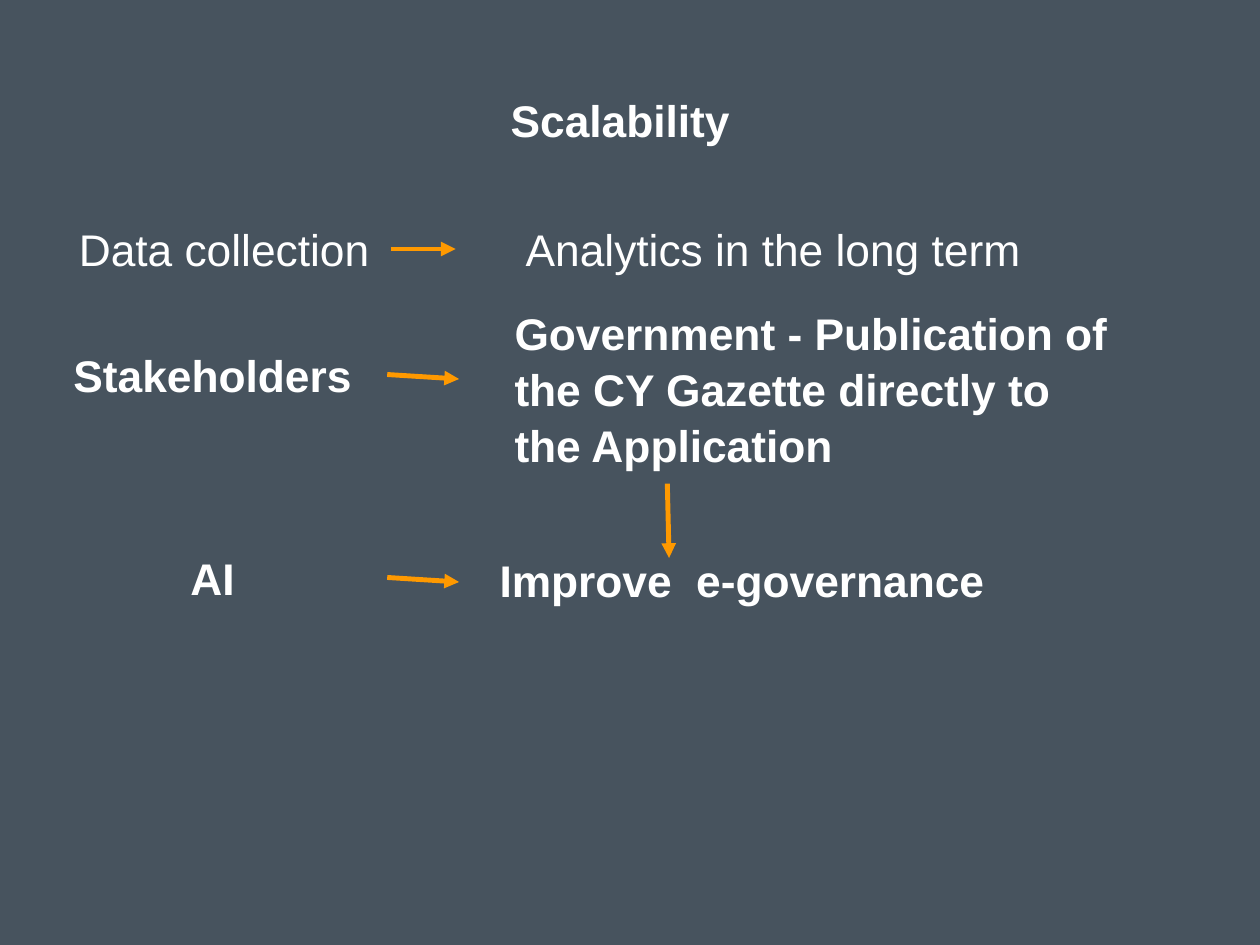
from dataclasses import dataclass

import pptx
import pptx.dml.color
import pptx.enum.shapes
import pptx.enum.text
import pptx.oxml.ns
import pptx.util
from lxml import etree

Cm = pptx.util.Cm
Pt = pptx.util.Pt
RGBColor = pptx.dml.color.RGBColor
ALIGN = pptx.enum.text.PP_ALIGN
ANCHOR = pptx.enum.text.MSO_ANCHOR
qn = pptx.oxml.ns.qn

SLATE = RGBColor(0x47, 0x53, 0x5E)
WHITE = RGBColor(0xFF, 0xFF, 0xFF)
ORANGE = RGBColor(0xFF, 0x99, 0x00)

FONT_FORMAT = {"name": "Arial", "size": Pt(36)}


@dataclass
class Label:
    text: str
    left: float
    top: float
    width: float
    height: float
    bold: bool = True
    align: ALIGN = ALIGN.LEFT
    anchor: ANCHOR = ANCHOR.MIDDLE
    inset: float = 0.15
    spacing: float = 1.0


@dataclass
class Arrow:
    x1: float
    y1: float
    x2: float
    y2: float


# Positions in centimetres
LABELS = [
    Label("Scalability", 2.26, 1.83, 31.04, 2.36, align=ALIGN.CENTER,
          anchor=ANCHOR.BOTTOM, inset=0),
    Label("Data collection", 2.11, 6.27, 8.9, 1.73, bold=False),
    Label("Analytics in the long term", 14.92, 6.27, 16.37, 1.73, bold=False),
    Label("Stakeholders", 1.83, 9.88, 8.53, 1.75, align=ALIGN.CENTER),
    Label("Government - Publication of the CY Gazette directly to the Application",
          14.6, 8.76, 17.32, 4.72, spacing=1.05),
    Label("AI", 5.18, 15.7, 1.83, 1.75, align=ALIGN.CENTER),
    Label("Improve  e-governance", 14.17, 14.81, 20.12, 3.61),
]
ARROWS = [
    Arrow(11.2, 7.14, 13.06, 7.14),
    Arrow(11.1, 10.74, 13.16, 10.87),
    Arrow(11.1, 16.56, 13.16, 16.69),
    Arrow(19.13, 13.87, 19.18, 16),
]


def add_label(slide, label: Label) -> None:
    sp = slide.shapes.add_textbox(Cm(label.left), Cm(label.top),
                                  Cm(label.width), Cm(label.height))
    tf = sp.text_frame
    frame_format = {"word_wrap": True, "vertical_anchor": label.anchor}
    for side in ("left", "top", "right", "bottom"):
        frame_format[f"margin_{side}"] = Cm(label.inset)
    for name, value in frame_format.items():
        setattr(tf, name, value)
    p = tf.paragraphs[0]
    p.alignment = label.align
    p.line_spacing = label.spacing
    r = p.add_run()
    r.text = label.text
    for name, value in {**FONT_FORMAT, "bold": label.bold}.items():
        setattr(r.font, name, value)
    r.font.color.rgb = WHITE


def add_arrow(slide, arrow: Arrow) -> None:
    cxn = slide.shapes.add_connector(
        pptx.enum.shapes.MSO_CONNECTOR.STRAIGHT,
        Cm(arrow.x1), Cm(arrow.y1), Cm(arrow.x2), Cm(arrow.y2))
    cxn.line.color.rgb = ORANGE
    cxn.line.width = Pt(4)
    # Arrowhead, and no shadow
    etree.SubElement(cxn.line._get_or_add_ln(), qn("a:tailEnd"), type="triangle")
    etree.SubElement(cxn._element.spPr, qn("a:effectLst"))


def main() -> None:
    prs = pptx.Presentation()
    prs.slide_width, prs.slide_height = Cm(36.12), Cm(27.1)
    s = prs.slides.add_slide(prs.slide_layouts[6])

    # Background
    s.background.fill.solid()
    s.background.fill.fore_color.rgb = SLATE

    # Title, topics and outcomes
    for label in LABELS:
        add_label(s, label)

    # Arrows between topics and outcomes
    for arrow in ARROWS:
        add_arrow(s, arrow)

    prs.save("out.pptx")


if __name__ == "__main__":
    main()
